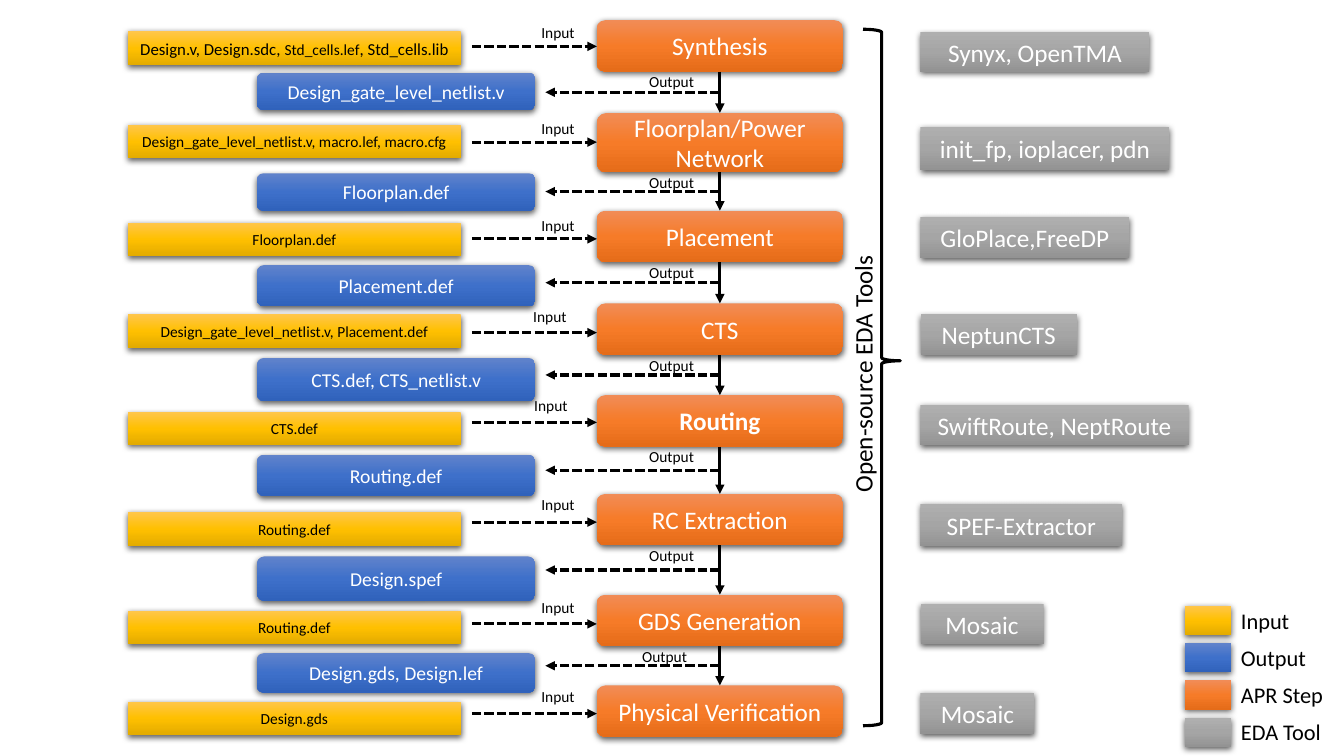
from lxml import etree
from pptx import Presentation
from pptx.dml.color import RGBColor
from pptx.enum.dml import MSO_LINE
from pptx.enum.shapes import MSO_CONNECTOR, MSO_SHAPE
from pptx.enum.text import MSO_ANCHOR, PP_ALIGN
from pptx.oxml.ns import qn
from pptx.util import Inches, Pt

RECT, ROUNDED, BRACE = MSO_SHAPE.RECTANGLE, MSO_SHAPE.ROUNDED_RECTANGLE, MSO_SHAPE.RIGHT_BRACE
STRAIGHT, DASH = MSO_CONNECTOR.STRAIGHT, MSO_LINE.SQUARE_DOT
MIDDLE, TOP = MSO_ANCHOR.MIDDLE, MSO_ANCHOR.TOP
CENTER, LEFT = PP_ALIGN.CENTER, PP_ALIGN.LEFT

BLACK, WHITE = RGBColor(0, 0, 0), RGBColor(255, 255, 255)
# Gradient stops from top to bottom
YELLOW = RGBColor(0xFF, 0xC6, 0x4B), RGBColor(0xFF, 0xC0, 0x00), RGBColor(0xE3, 0xAB, 0x00)
BLUE = RGBColor(0x61, 0x83, 0xCB), RGBColor(0x3E, 0x70, 0xCA), RGBColor(0x30, 0x62, 0xBB)
ORANGE = RGBColor(0xF1, 0x8C, 0x57), RGBColor(0xF6, 0x7B, 0x28), RGBColor(0xE5, 0x6C, 0x19)
GRAY = RGBColor(0xAF, 0xAF, 0xAF), RGBColor(0xA5, 0xA5, 0xA5), RGBColor(0x93, 0x93, 0x93)

# Columns of the flow, in inches
INPUT_X, INPUT_W = 1.27, 3.3
OUTPUT_X, OUTPUT_W = 2.55, 2.76
STEP_X, STEP_W, STEP_H = 5.92, 2.44, 0.51
SPINE_X = STEP_X + STEP_W / 2
INPUT_ARROW_X, OUTPUT_ARROW_X = 4.68, 5.41
TOOL_X = 9.13
LEGEND_X, LEGEND_Y, LEGEND_PITCH = 11.75, 6.01, 0.37
LABEL_H = 0.29

# Step, top, height
STEPS = [
    ("Synthesis", 0.2, STEP_H),
    ("Floorplan/Power Network", 1.12, 0.59),
    ("Placement", 2.09, STEP_H),
    ("CTS", 3.01, STEP_H),
    ("Routing", 3.92, STEP_H),
    ("RC Extraction", 4.9, STEP_H),
    ("GDS Generation", 5.9, STEP_H),
    ("Physical Verification", 6.8, STEP_H),
]
# Text, box top, box height, arrow height, label left, label top
INPUTS = [
    ([("Design.v, Design.sdc, ", 12), ("Std_cells.lef", 11), (", Std_cells.lib", 12)],
     0.31, 0.34, 0.46, 5.27, 0.18),
    ("Design_gate_level_netlist.v, macro.lef, macro.cfg", 1.24, 0.33, 1.41, 5.27, 1.13),
    ("Floorplan.def", 2.21, 0.33, 2.37, 5.27, 2.09),
    ("Design_gate_level_netlist.v, Placement.def", 3.12, 0.33, 3.3, 5.19, 3.0),
    ("CTS.def", 4.09, 0.32, 4.19, 5.2, 3.88),
    ("Routing.def", 5.08, 0.34, 5.18, 5.27, 4.86),
    ("Routing.def", 6.06, 0.33, 6.19, 5.27, 5.88),
    ("Design.gds", 6.96, 0.33, 7.08, 5.27, 6.77),
]
# Text, box top, box height, label left
OUTPUTS = [
    ("Design_gate_level_netlist.v", 0.72, 0.37, 6.34),
    ("Floorplan.def", 1.72, 0.37, 6.34),
    ("Placement.def", 2.63, 0.41, 6.34),
    ("CTS.def, CTS_netlist.v", 3.55, 0.43, 6.34),
    ("Routing.def", 4.51, 0.41, 6.34),
    ("Design.spef", 5.52, 0.44, 6.34),
    ("Design.gds, Design.lef", 6.48, 0.39, 6.27),
]
# Text, top, width, height
TOOLS = [
    ("Synyx, OpenTMA", 0.32, 2.27, 0.39),
    ("init_fp, ioplacer, pdn", 1.26, 2.47, 0.43),
    ("GloPlace,FreeDP", 2.15, 2.07, 0.41),
    ("NeptunCTS", 3.12, 1.55, 0.4),
    ("SwiftRoute, NeptRoute", 4.02, 2.66, 0.4),
    ("SPEF-Extractor", 5.0, 2.0, 0.42),
    ("Mosaic", 5.99, 1.22, 0.4),
    ("Mosaic", 6.87, 1.13, 0.41),
]
LEGEND = [("Input", YELLOW), ("Output", BLUE), ("APR Step", ORANGE), ("EDA Tool", GRAY)]

prs = Presentation()
prs.slide_width, prs.slide_height = Inches(13.33), Inches(7.5)
slide = prs.slides.add_slide(prs.slide_layouts[6])


def add_block(text, *at, stops=None, outline=RECT, size=18, color=WHITE, bold=False):
    """Add a shaded block, or a plain label when no gradient stops are given.

    The text is a string or a list of (string, size) runs.
    """
    place = [Inches(length) for length in at]
    if stops:
        block = slide.shapes.add_shape(outline, *place)
        block.line.fill.background()
        block.fill.gradient()
        block.fill.gradient_angle = 270
        properties = block._element.spPr
        stop_list = properties.find(qn("a:gradFill")).find(qn("a:gsLst"))
        stop_list.clear()
        for i, stop in enumerate(stops):
            mark = etree.SubElement(stop_list, qn("a:gs"), pos=str(i * 50000))
            etree.SubElement(mark, qn("a:srgbClr"), val=str(stop))
        block.shadow.inherit = False
        shadow = etree.SubElement(properties.find(qn("a:effectLst")), qn("a:outerShdw"),
                                  blurRad=str(Pt(4.5)), dist=str(Pt(1.5)),
                                  dir="5400000", algn="ctr", rotWithShape="0")
        shade = etree.SubElement(shadow, qn("a:srgbClr"), val=str(BLACK))
        etree.SubElement(shade, qn("a:alpha"), val="63000")
    else:
        block = slide.shapes.add_textbox(*place)
    frame = block.text_frame
    frame.word_wrap = True
    frame.vertical_anchor = MIDDLE if stops else TOP
    paragraph = frame.paragraphs[0]
    paragraph.alignment = CENTER if stops else LEFT
    for words, points in ([(text, size)] if isinstance(text, str) else text):
        run = paragraph.add_run()
        run.text = words
        run.font.name, run.font.size, run.font.bold = "Calibri", Pt(points), bold
        run.font.color.rgb = color
    return block


def add_arrow(x1, y1, x2, y2, dashed=True):
    arrow = slide.shapes.add_connector(STRAIGHT, Inches(x1), Inches(y1), Inches(x2), Inches(y2))
    arrow.line.color.rgb = BLACK
    arrow.line.width = Pt(2.25)
    if dashed:
        arrow.line.dash_style = DASH
    etree.SubElement(arrow.line._get_or_add_ln(), qn("a:tailEnd"), type="triangle")
    etree.SubElement(arrow._element.spPr, qn("a:effectLst"))


for step, top, height in STEPS:
    add_block(step, STEP_X, top, STEP_W, height, stops=ORANGE, outline=ROUNDED,
              bold=step == "Routing")

for tool, top, width, height in TOOLS:
    add_block(tool, TOOL_X, top, width, height, stops=GRAY)

brace = slide.shapes.add_shape(BRACE, Inches(8.56), Inches(0.29), Inches(0.37), Inches(6.91))
brace.adjustments[0], brace.adjustments[1] = 0.083, 0.476
brace.fill.background()
brace.line.color.rgb = BLACK
brace.line.width = Pt(2.25)
brace.shadow.inherit = False
add_block("Open-source EDA Tools", 6.6, 2.83, 3.91, 0.4, color=BLACK).rotation = 270

for (_, top, height), (_, next_top, _), output in zip(STEPS, STEPS[1:], OUTPUTS):
    text, box_top, box_height, label_x = output
    bottom = top + height
    branch_y = (bottom + next_top) / 2
    add_arrow(SPINE_X, bottom, SPINE_X, next_top, dashed=False)
    add_arrow(SPINE_X, branch_y, OUTPUT_ARROW_X, branch_y)
    add_block("Output", label_x, bottom - 0.04, 0.9, LABEL_H, size=11, color=BLACK)
    add_block(text, OUTPUT_X, box_top, OUTPUT_W, box_height, stops=BLUE, outline=ROUNDED, size=14)

for text, box_top, box_height, arrow_y, label_x, label_top in INPUTS:
    add_arrow(INPUT_ARROW_X, arrow_y, STEP_X, arrow_y)
    add_block("Input", label_x, label_top, 0.65, LABEL_H, size=11, color=BLACK)
    add_block(text, INPUT_X, box_top, INPUT_W, box_height, stops=YELLOW, size=11, color=BLACK)

for row, (kind, stops) in enumerate(LEGEND):
    top = LEGEND_Y + row * LEGEND_PITCH
    add_block("", LEGEND_X, top, 0.46, 0.29, stops=stops)
    add_block(kind, LEGEND_X + 0.46, top - 0.04, 1.1, 0.37, size=16, color=BLACK)

prs.save("out.pptx")
